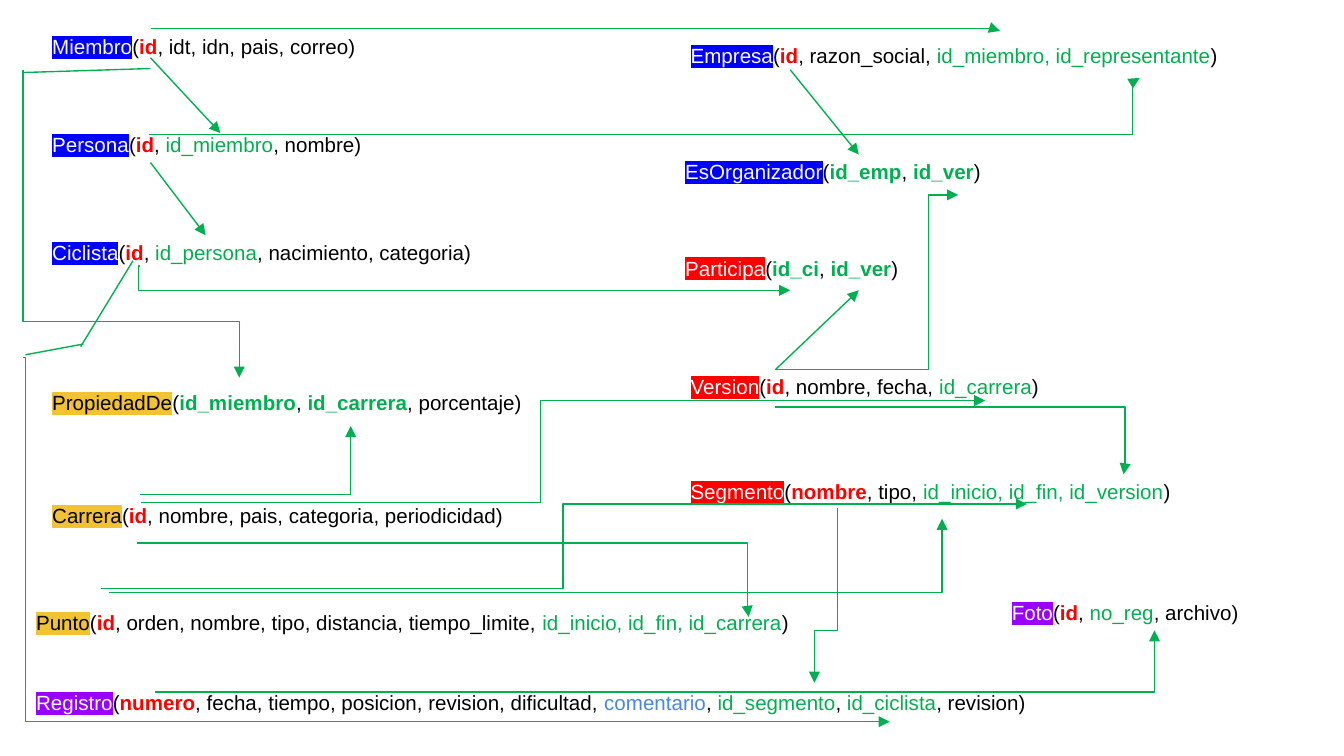
from lxml import etree
from pptx import Presentation
from pptx.dml.color import RGBColor
from pptx.enum.shapes import MSO_CONNECTOR as Conn
from pptx.oxml.ns import qn
from pptx.util import Inches, Pt

BLUE, RED, GOLD, PURPLE = "0000FF", "FF0000", "F1C232", "9900FF"
GREEN, BLACK, WHITE = "00B050", "000000", "FFFFFF"

# Style of a field: colour, bold
PLAIN, KEY, REF = (BLACK, False), (RED, True), (GREEN, False)
KEYREF, NOTE = (GREEN, True), ("4A86E8", False)
ID = ("id", KEY)

# Relations: name, label colour, (left, top, width, height), fields
relations = [
    ("Miembro", BLUE, (0.29, 0.16, 4.87, 0.32),
     [ID, (", idt, idn, pais, correo", PLAIN)]),
    ("Persona", BLUE, (0.29, 0.89, 2.98, 0.39),
     [ID, (", ", PLAIN), ("id_miembro", REF), (", nombre", PLAIN)]),
    ("Ciclista", BLUE, (0.29, 1.66, 4.14, 0.39),
     [ID, (", ", PLAIN), ("id_persona", REF), (", nacimiento, categoria", PLAIN)]),
    ("PropiedadDe", GOLD, (0.29, 2.81, 3.77, 0.27),
     [("id_miembro", KEYREF), (", ", PLAIN), ("id_carrera", KEYREF),
      (", porcentaje", PLAIN)]),
    ("Carrera", GOLD, (0.29, 3.65, 3.67, 0.39),
     [ID, (", nombre, pais, categoria, periodicidad", PLAIN)]),
    ("Punto", GOLD, (0.17, 4.45, 6.25, 0.39),
     [ID, (", orden, nombre, tipo, distancia, tiempo_limite, ", PLAIN),
      ("id_inicio, id_fin, id_carrera", REF)]),
    ("Registro", PURPLE, (0.17, 5.04, 9.85, 0.58),
     [("numero", KEY), (", fecha, tiempo, posicion, revision, dificultad, ", PLAIN),
      ("comentario", NOTE), (", ", PLAIN), ("id_segmento", REF), (", ", PLAIN),
      ("id_ciclista", REF), (", revision", PLAIN)]),
    ("Empresa", BLUE, (5.04, 0.23, 4.79, 0.39),
     [ID, (", razon_social, ", PLAIN), ("id_miembro, id_representante", REF)]),
    ("EsOrganizador", BLUE, (5, 1.09, 3.42, 0.35),
     [("id_emp", KEYREF), (", ", PLAIN), ("id_ver", KEYREF)]),
    ("Participa", RED, (5, 1.81, 1.93, 0.35),
     [("id_ci", KEYREF), (", ", PLAIN), ("id_ver", KEYREF)]),
    ("Version", RED, (5.04, 2.69, 4.45, 0.45),
     [ID, (", nombre, fecha, ", PLAIN), ("id_carrera", REF)]),
    ("Segmento", RED, (5.04, 3.47, 3.94, 0.39),
     [("nombre", KEY), (", tipo, ", PLAIN), ("id_inicio, id_fin, id_version", REF)]),
    ("Foto", PURPLE, (7.43, 4.37, 2.31, 0.32),
     [ID, (", ", PLAIN), ("no_reg", REF), (", archivo", PLAIN)]),
]
LOOSE = {"Ciclista": 1.15}  # line spacing

# Straight lines: from, to, arrowhead
straights = [
    ((1.12, 0.43), (1.64, 0.99), True),
    ((1.12, 1.21), (1.53, 1.75), True),
    ((1.12, 0.51), (0.17, 0.54), False),
    ((5.88, 0.52), (6.39, 1.15), True),
    ((5.77, 2.75), (6.39, 2.16), True),
    ((0.6, 2.58), (0.99, 1.94), False),
    ((0.19, 2.64), (0.62, 2.56), False),
]

# Elbow arrows: from, to, coordinate of the middle leg (None: one corner)
across = [
    ((1.04, 3.68), (2.61, 3.17), 2.61),
    ((5.77, 2.75), (7.13, 1.45), 6.91),
    ((1.04, 1.98), (5.88, 2.16), 1.03),
    ((0.81, 4.41), (7.01, 3.86), None),
    ((0.75, 4.38), (7.64, 3.75), 4.19),
    ((0.17, 2.66), (6.62, 5.37), 0.19),
    ((1.02, 4.04), (5.57, 4.59), 5.56),
    ((1.05, 3.74), (7.33, 2.98), 4.02),
    ((5.77, 3.03), (8.36, 3.53), 8.37),
    ((1.12, 0.21), (7.44, 0.23), None),
    ((1.11, 1), (8.48, 0.58), 8.43),
    ((1.15, 5.15), (8.59, 4.69), None),
]
down = [
    ((0.17, 0.52), (1.78, 2.81), 2.39),
    ((6.23, 3.78), (6.06, 5.08), 4.69),
]

# 16:9 slide
prs = Presentation()
prs.slide_width = Inches(10)
prs.slide_height = Inches(10 * 9 / 16)
s = prs.slides.add_slide(prs.slide_layouts[6])


def rgb(color):
    return RGBColor.from_string(color)


def add_run(p, text, color, bold=False, label=None):
    r = p.add_run()
    r.text = text
    r.font.bold = bold
    r.font.color.rgb = rgb(color)
    if label:
        mark = etree.SubElement(r.font._element, qn("a:highlight"))
        etree.SubElement(mark, qn("a:srgbClr"), val=label)


def add_line(kind, x1, y1, x2, y2, arrow=True):
    c = s.shapes.add_connector(kind, *(Inches(v) for v in (x1, y1, x2, y2)))
    c.line.color.rgb = rgb(GREEN)
    c.line.width = Pt(0.75)
    if arrow:
        etree.SubElement(c.line._ln, qn("a:tailEnd"), type="triangle")
    etree.SubElement(c._element.spPr, qn("a:effectLst"))
    return c


def add_elbow(start, end, leg, vertical=False):
    """Elbow that leaves sideways, or downwards if vertical."""
    (x1, y1), (x2, y2) = start, end
    w, h = abs(x2 - x1), abs(y2 - y1)
    if vertical:
        w, h = h, w
        turn = 90 if x2 < x1 else 270
    else:
        turn = 180 if y2 < y1 else 0
    left, top = (x1 + x2 - w) / 2, (y1 + y2 - h) / 2
    c = add_line(Conn.ELBOW, left, top, left + w, top + h)
    c.rotation = turn
    spPr = c._element.spPr
    if turn >= 180:
        spPr.find(qn("a:xfrm")).set("flipH", "1")
    geom = spPr.find(qn("a:prstGeom"))
    if leg is None:
        geom.set("prst", "bentConnector2")
    else:
        share = (leg - (y1 if vertical else x1)) / w
        etree.SubElement(geom.find(qn("a:avLst")), qn("a:gd"),
                         name="adj1", fmla=f"val {round(share * 100000)}")


# Relations
for name, label, box, fields in relations:
    tf = s.shapes.add_textbox(*(Inches(v) for v in box)).text_frame
    tf.word_wrap = True
    tf.margin_left = tf.margin_right = tf.margin_top = tf.margin_bottom = Inches(0.1)
    p = tf.paragraphs[0]
    p.font.name, p.font.size = "Arial", Pt(11)
    p.line_spacing = LOOSE.get(name)
    add_run(p, name, BLACK if label == GOLD else WHITE, label=label)
    add_run(p, "(", BLACK)
    for text, style in fields:
        add_run(p, text, *style)
    add_run(p, ")", BLACK)

# References between relations
for start, end, arrow in straights:
    add_line(Conn.STRAIGHT, *start, *end, arrow)
for route in across:
    add_elbow(*route)
for route in down:
    add_elbow(*route, vertical=True)

prs.save("out.pptx")
